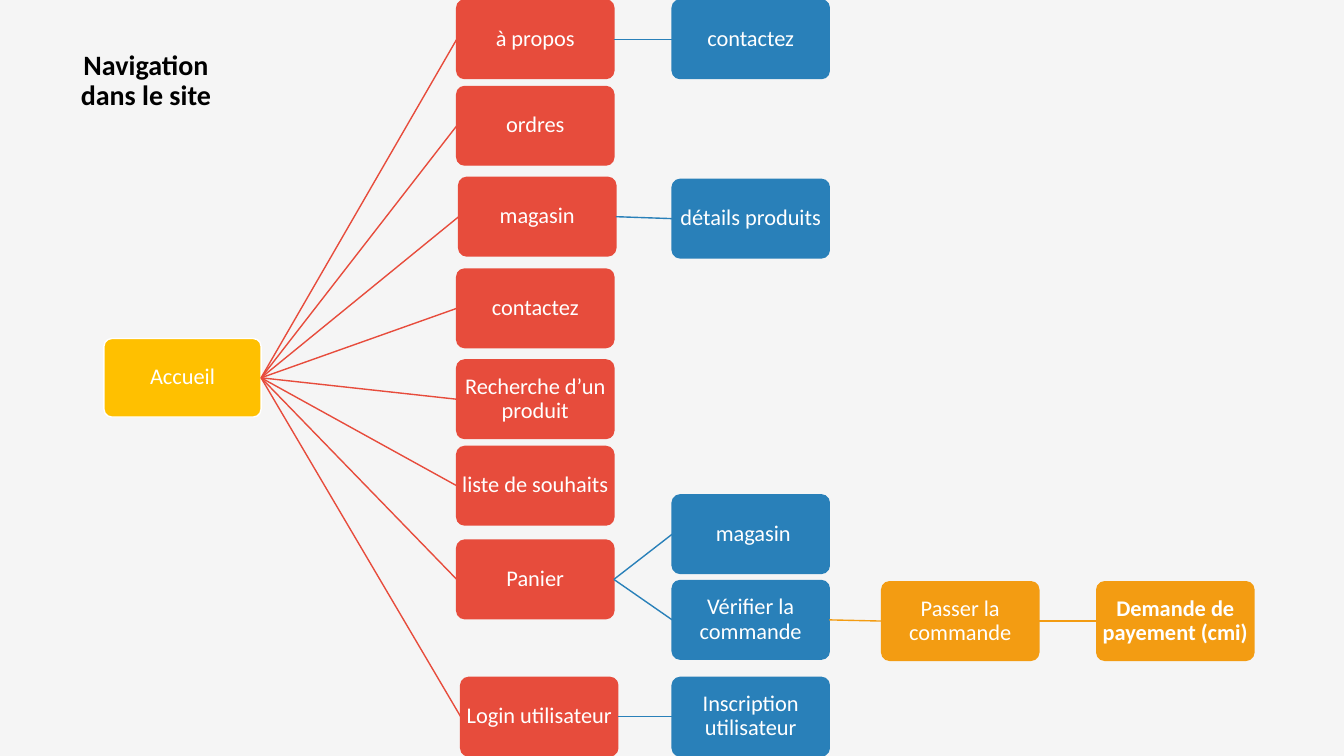
from pptx import Presentation
from pptx import util as u
from pptx.dml.color import RGBColor
from pptx.enum import shapes, text
from pptx.oxml.ns import qn

PAPER, WHITE, BLACK = "F5F5F5", "FFFFFF", "000000"
YELLOW, RED, BLUE, ORANGE = "FFC000", "E74C3C", "2980B9", "F39C12"
BOX_WIDTH, BOX_HEIGHT = u.Cm(3.96), u.Cm(1.98)
INSET = u.Cm(0.08)
LEFT_SITE, RIGHT_SITE = 1, 3

TITLE = ("Navigation dans le site", 1.7, 1.07)
LEVELS = [(2.62, YELLOW), (11.51, RED), (16.94, BLUE), (22.22, ORANGE), (27.64, ORANGE)]

# key: (label, parent, level, top, shift)
NODES = {
    "home": ("Accueil", None, 0, 8.53, 0),
    "about": ("à propos", "home", 1, 0, 0),
    "about contact": ("contactez", "about", 2, 0, 0),
    "orders": ("ordres", "home", 1, 2.18, 0),
    "shop": ("magasin", "home", 1, 4.47, 0.05),
    "details": ("détails produits", "shop", 2, 4.52, 0),
    "contact": ("contactez", "home", 1, 6.78, 0),
    "search": ("Recherche d’un produit", "home", 1, 9.07, 0),
    "wishes": ("liste de souhaits", "home", 1, 11.25, 0),
    "cart": ("Panier", "home", 1, 13.61, 0),
    "cart shop": (" magasin", "cart", 2, 12.47, 0),
    "check": ("Vérifier la commande", "cart", 2, 14.63, 0),
    "order": ("Passer la commande", "check", 3, 14.66, 0),
    "payment": ("Demande de payement (cmi)", "order", 4, 14.66, 0),
    "login": ("Login utilisateur", "home", 1, 17.07, 0.1),
    "signup": ("Inscription utilisateur", "login", 2, 17.07, 0),
}


def color(value):
    return RGBColor.from_string(value)


def write(box, words, size=16, ink=WHITE, bold=False):
    frame = box.text_frame
    frame.word_wrap = True
    frame.auto_size = text.MSO_AUTO_SIZE.NONE
    frame.vertical_anchor = text.MSO_ANCHOR.MIDDLE
    frame.margin_left = frame.margin_right = INSET
    frame.margin_top = frame.margin_bottom = INSET
    para = frame.paragraphs[0]
    para.alignment = text.PP_ALIGN.CENTER
    para.line_spacing = 0.9
    para.space_before = u.Pt(0)
    span = para.add_run()
    span.text = words
    span.font.name = "Calibri"
    span.font.size = u.Pt(size)
    span.font.bold = bold
    span.font.color.rgb = color(ink)


def add_node(page, label, level, top, shift):
    left, fill = LEVELS[level]
    box = page.shapes.add_shape(shapes.MSO_SHAPE.ROUNDED_RECTANGLE,
                                u.Cm(left + shift), u.Cm(top), BOX_WIDTH, BOX_HEIGHT)
    box.adjustments[0] = 0.1
    box.shadow.inherit = False
    box.fill.solid()
    box.fill.fore_color.rgb = color(fill)
    box.line.color.rgb = color(WHITE if level == 0 else fill)
    box.line.width = u.Pt(1)
    write(box, label, bold=level == 4)
    return box


def add_link(page, parent, child, ink):
    link = page.shapes.add_connector(shapes.MSO_CONNECTOR.STRAIGHT, 0, 0, 0, 0)
    link.begin_connect(parent, RIGHT_SITE)
    link.end_connect(child, LEFT_SITE)
    link.line.color.rgb = color(ink)
    link.line.width = u.Pt(1)
    properties = link._element.spPr
    properties.append(properties.makeelement(qn("a:effectLst"), {}))


def main():
    deck = Presentation()
    deck.slide_width, deck.slide_height = u.Cm(33.87), u.Cm(19.05)
    page = deck.slides.add_slide(deck.slide_layouts[5])
    page.background.fill.solid()
    page.background.fill.fore_color.rgb = color(PAPER)

    words, left, top = TITLE
    title = page.shapes.title
    title.left, title.top = u.Cm(left), u.Cm(top)
    title.width, title.height = BOX_WIDTH, BOX_HEIGHT
    write(title, words, size=20, ink=BLACK, bold=True)

    boxes = {}
    for key, (label, parent, level, top, shift) in NODES.items():
        boxes[key] = add_node(page, label, level, top, shift)
        if parent:
            add_link(page, boxes[parent], boxes[key], LEVELS[level][1])
    deck.save("out.pptx")


if __name__ == "__main__":
    main()
